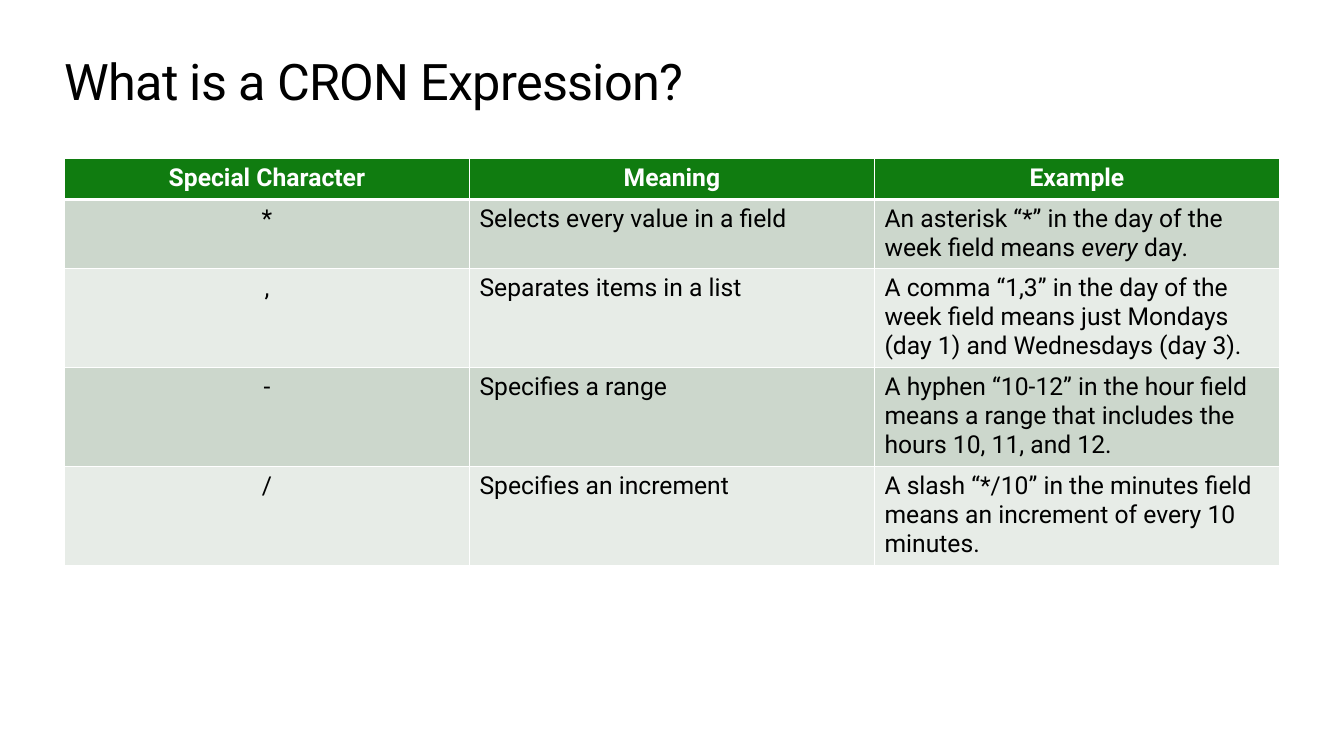
import pptx
import pptx.dml.color
import pptx.enum.text
import pptx.oxml
import pptx.oxml.ns
import pptx.util
from pptx.util import Inches

TITLE = "What is a CRON Expression?"
HEADER = ["Special Character", "Meaning", "Example"]
ROWS = [
    ("*", "Selects every value in a field",
     ["An asterisk “*” in the day of the week field means ", ("every", True), " day."]),
    (",", "Separates items in a list",
     "A comma “1,3” in the day of the week field means just Mondays (day 1) and Wednesdays (day 3)."),
    ("-", "Specifies a range",
     "A hyphen “10-12” in the hour field means a range that includes the hours 10, 11, and 12."),
    ("/", "Specifies an increment",
     "A slash “*/10” in the minutes field means an increment of every 10 minutes."),
]
COLORS = {"text": "000000", "white": "FFFFFF", "header": "107C10",
          "dark": "CCD7CC", "light": "E7ECE7"}
FONT = "Roboto"
LEFT, WIDTH = 0.64, 12.05
TITLE_TOP, TITLE_HEIGHT = 0.5, 0.61
TABLE_TOP = 1.57
ROW_HEIGHTS = [0.41, 0.67, 0.96, 0.96, 0.96]


def rgb(name):
    return pptx.dml.color.RGBColor.from_string(COLORS[name])


def write(tf, text, size=17.6, color="text", bold=False, center=False, spacing=None):
    tf.word_wrap = True
    p = tf.paragraphs[0]
    align = pptx.enum.text.PP_ALIGN
    p.alignment = align.CENTER if center else align.LEFT
    for part in [text] if isinstance(text, str) else text:
        words, italic = (part, False) if isinstance(part, str) else part
        r = p.add_run()
        r.text = words
        r.font.name = FONT
        r.font.size = pptx.util.Pt(size)
        r.font.bold = bold
        r.font.italic = italic
        r.font.color.rgb = rgb(color)
        if spacing is not None:
            r.font._element.set("spc", str(int(spacing * 100)))


def add_borders(cell, top, bottom):
    tc_pr = cell._tc.get_or_add_tcPr()
    for side, width in (("L", 1), ("R", 1), ("T", top), ("B", bottom)):
        tc_pr.append(pptx.oxml.parse_xml(
            f'<a:ln{side} {pptx.oxml.ns.nsdecls("a")} w="{pptx.util.Pt(width)}">'
            f'<a:solidFill><a:srgbClr val="{COLORS["white"]}"/></a:solidFill></a:ln{side}>'))


def add_title(s):
    box = s.shapes.add_textbox(Inches(LEFT), Inches(TITLE_TOP),
                               Inches(WIDTH), Inches(TITLE_HEIGHT))
    tf = box.text_frame
    tf.margin_left = tf.margin_right = tf.margin_top = tf.margin_bottom = 0
    write(tf, TITLE, size=36, spacing=-0.5)


def add_character_table(s):
    data = [HEADER] + ROWS
    table = s.shapes.add_table(len(data), len(HEADER), Inches(LEFT), Inches(TABLE_TOP),
                               Inches(WIDTH), Inches(sum(ROW_HEIGHTS))).table
    for column in table.columns:
        column.width = Inches(WIDTH / len(HEADER))
    for i, (row, height) in enumerate(zip(data, ROW_HEIGHTS)):
        table.rows[i].height = Inches(height)
        header = i == 0
        fill = "header" if header else ("light", "dark")[i % 2]
        for j, text in enumerate(row):
            cell = table.cell(i, j)
            add_borders(cell, top=3 if i == 1 else 1, bottom=3 if header else 1)
            cell.fill.solid()
            cell.fill.fore_color.rgb = rgb(fill)
            write(cell.text_frame, text, color="white" if header else "text",
                  bold=header, center=header or j == 0)


def main():
    prs = pptx.Presentation()
    prs.slide_width, prs.slide_height = Inches(13.33), Inches(7.5)
    s = prs.slides.add_slide(prs.slide_layouts[6])
    add_title(s)
    add_character_table(s)
    prs.save("out.pptx")


if __name__ == "__main__":
    main()
